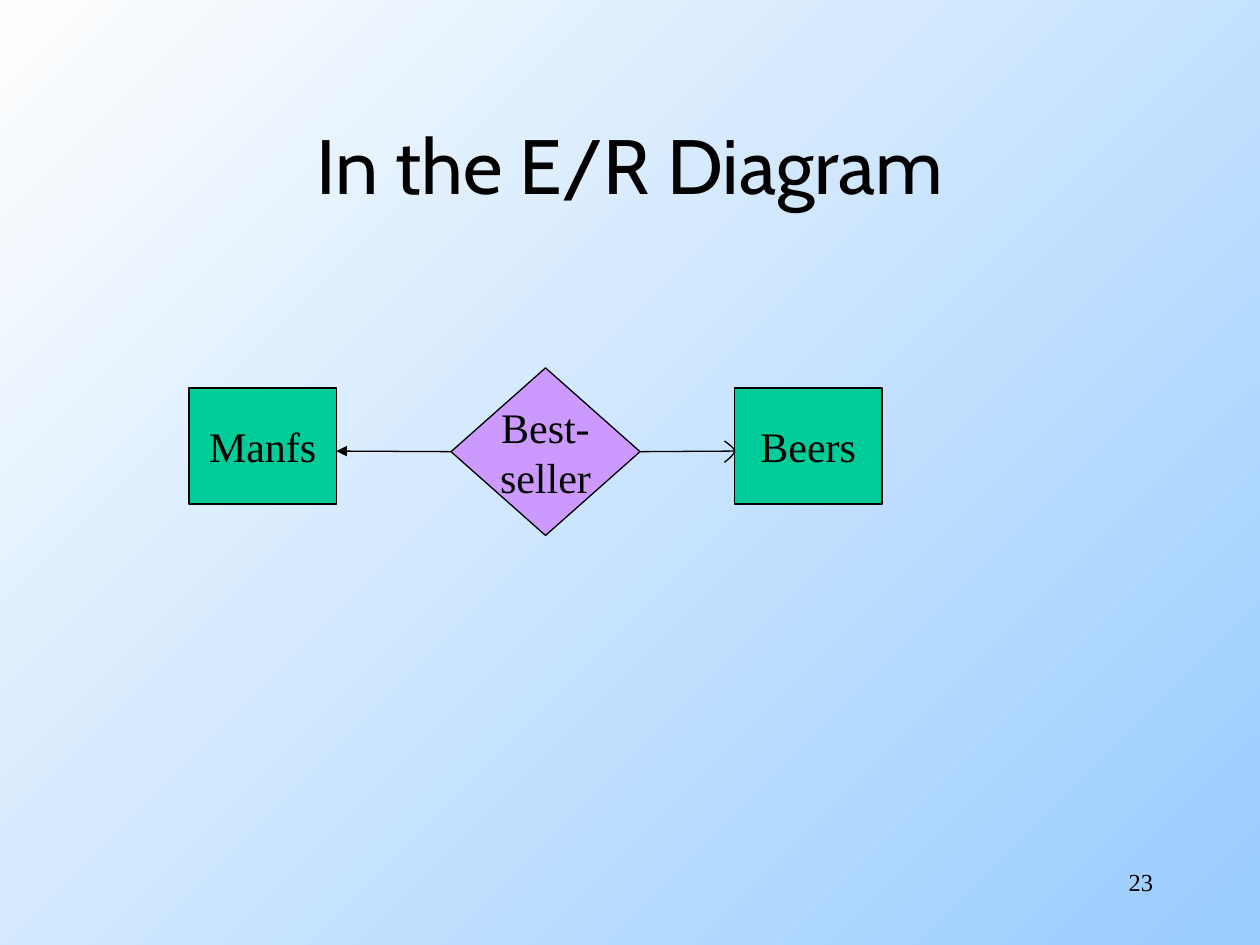
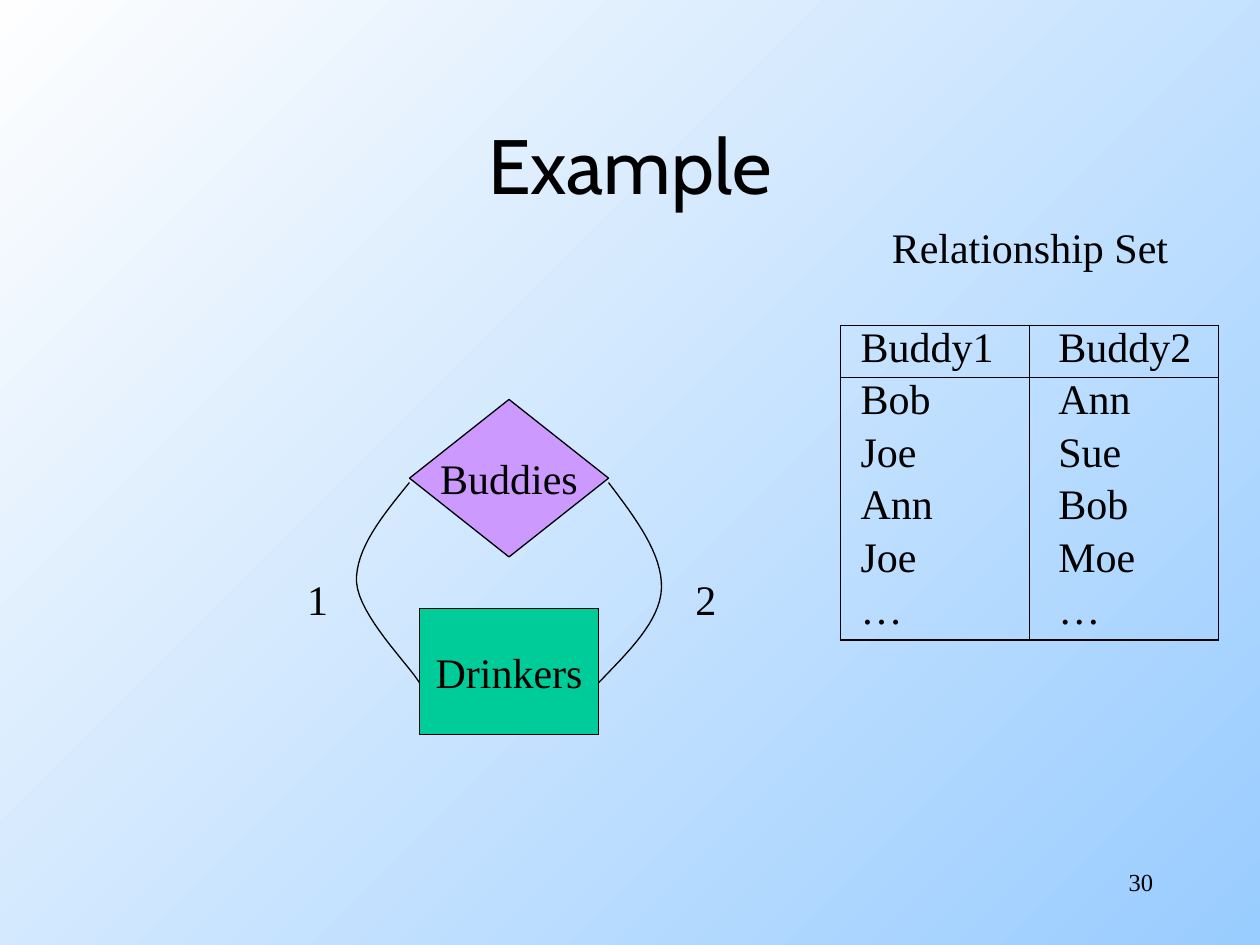
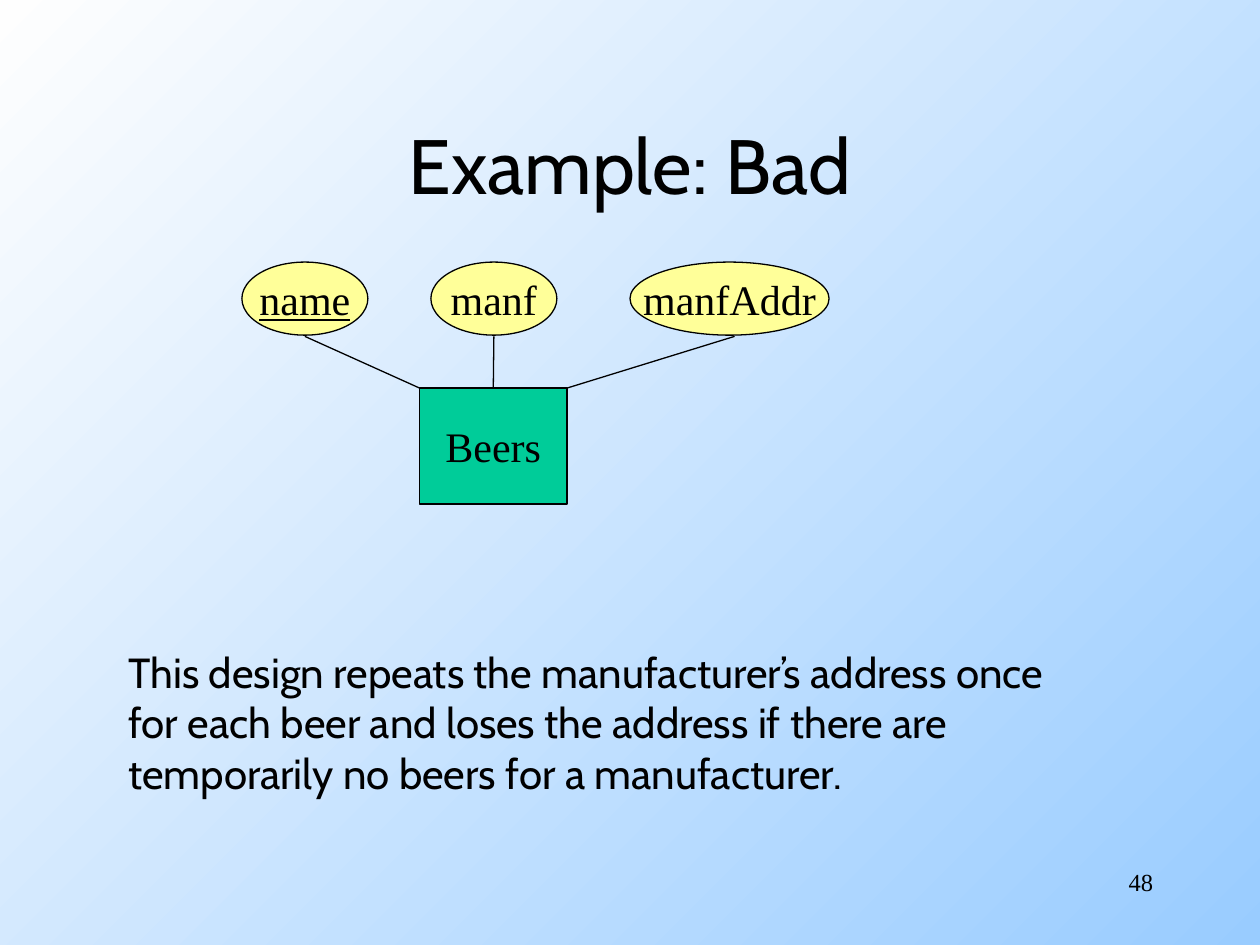
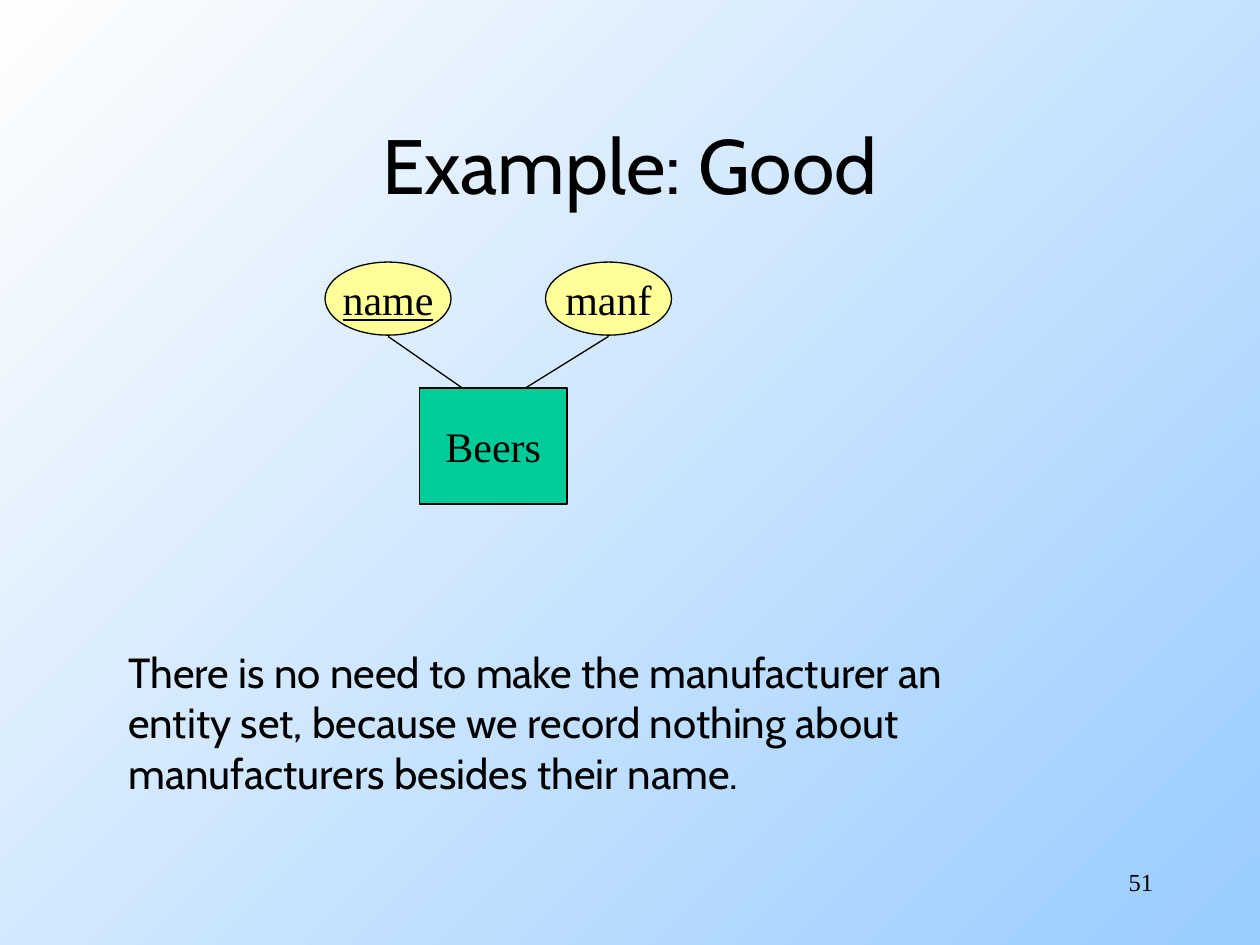
from pptx import Presentation
from pptx.dml.color import RGBColor
from pptx.enum import shapes, text
from pptx.oxml.ns import qn
from pptx.util import Inches, Pt
from lxml import etree

COLORS = {
    "ink": "000000",
    "entity": "00CC99",
    "relationship": "CC99FF",
    "attribute": "FFFF99",
    "sky": "99CCFF",
    "light": "FEFEFE",
}
SERIF, SANS = "Times New Roman", "Cabin"
LINE = Pt(0.75)
ENTITY_SIZE = (1.17, 0.92)
ATTRIBUTE_TOP, ATTRIBUTE_HEIGHT = 2.08, 0.58
ATTRIBUTE_FOOT, ENTITY_TOP = 2.67, 3.08
PLAIN_TABLE = "{2D5ABB26-0587-4C30-8999-92F81FD0307C}"
BUDDIES = [
    ("Buddy1", "Buddy2"),
    ("Bob", "Ann"),
    ("Joe", "Sue"),
    ("Ann", "Bob"),
    ("Joe", "Moe"),
    ("…", "…"),
]


def color(name):
    return RGBColor.from_string(COLORS[name])


def write(frame, words, size=24, font=SERIF, align=text.PP_ALIGN.LEFT, underline=None):
    frame.text = words
    for paragraph in frame.paragraphs:
        paragraph.alignment = align
        paragraph.font.size = Pt(size)
        paragraph.font.name = font
        paragraph.font.color.rgb = color("ink")
        paragraph.font.underline = underline


def draw_line(line):
    line.color.rgb = color("ink")
    line.width = LINE


def add_text(slide, box, words, anchor=text.MSO_ANCHOR.TOP, **style):
    frame = slide.shapes.add_textbox(*map(Inches, box)).text_frame
    frame.word_wrap = True
    frame.vertical_anchor = anchor
    write(frame, words, **style)


def add_node(slide, kind, box, words, fill, underline=None):
    node = slide.shapes.add_shape(kind, *map(Inches, box))
    node.shadow.inherit = False
    node.fill.solid()
    node.fill.fore_color.rgb = color(fill)
    draw_line(node.line)
    node.text_frame.word_wrap = False
    node.text_frame.vertical_anchor = text.MSO_ANCHOR.MIDDLE
    write(node.text_frame, words, align=text.PP_ALIGN.CENTER, underline=underline)
    return node


def add_entity(slide, left, top, words, size=ENTITY_SIZE):
    return add_node(slide, shapes.MSO_SHAPE.RECTANGLE, (left, top, *size), words, "entity")


def add_relationship(slide, box, words):
    return add_node(slide, shapes.MSO_SHAPE.DIAMOND, box, words, "relationship")


def add_attribute(slide, left, words, width=1, key=None):
    box = (left, ATTRIBUTE_TOP, width, ATTRIBUTE_HEIGHT)
    add_node(slide, shapes.MSO_SHAPE.OVAL, box, words, "attribute", key)


def add_link(slide, start, end, arrow=False):
    link = slide.shapes.add_connector(
        shapes.MSO_CONNECTOR.STRAIGHT, *map(Inches, (*start, *end)))
    draw_line(link.line)
    if arrow:
        etree.SubElement(link.line._get_or_add_ln(), qn("a:tailEnd"), type="triangle")
    etree.SubElement(link._element.spPr, qn("a:effectLst"))
    return link


def bezier(points, steps=16):
    for step in range(1, steps + 1):
        t = step / steps
        weights = ((1 - t) ** 3, 3 * t * (1 - t) ** 2, 3 * t * t * (1 - t), t ** 3)
        yield tuple(
            Inches(sum(w * p[axis] for w, p in zip(weights, points))) for axis in (0, 1))


def add_curve(slide, points):
    builder = slide.shapes.build_freeform(*map(Inches, points[0]))
    for first in range(0, len(points) - 1, 3):
        builder.add_line_segments(bezier(points[first:first + 4]), close=False)
    curve = builder.convert_to_shape()
    curve.shadow.inherit = False
    curve.fill.background()
    draw_line(curve.line)


def set_border(cell, side, visible):
    border = etree.SubElement(cell._tc.get_or_add_tcPr(), qn(f"a:{side}"), w=str(LINE))
    if visible:
        fill = etree.SubElement(border, qn("a:solidFill"))
        etree.SubElement(fill, qn("a:srgbClr"), val=COLORS["ink"])
    else:
        etree.SubElement(border, qn("a:noFill"))


def add_buddy_table(slide, box):
    table = slide.shapes.add_table(len(BUDDIES), 2, *map(Inches, box)).table
    table._tbl.tblPr.find(qn("a:tableStyleId")).text = PLAIN_TABLE
    table.horz_banding = False
    last = len(BUDDIES) - 1
    for r, names in enumerate(BUDDIES):
        for c, name in enumerate(names):
            cell = table.cell(r, c)
            cell.margin_left = Inches((0.16, 0.23)[c])
            cell.margin_right = cell.margin_top = cell.margin_bottom = 0
            write(cell.text_frame, name)
            for side, visible in (("lnL", True), ("lnR", True),
                                  ("lnT", r < 2), ("lnB", r in (0, last))):
                set_border(cell, side, visible)
            cell.fill.background()


def set_background(master):
    fill = master.background.fill
    fill.gradient()
    fill.gradient_angle = 135
    for stop, name in zip(fill.gradient_stops, ("sky", "light")):
        stop.color.rgb = color(name)


def add_slide(deck, title, number):
    slide = deck.slides.add_slide(deck.slide_layouts[6])
    add_text(slide, (0.75, 0.67, 8.5, 1.25), title, text.MSO_ANCHOR.MIDDLE,
             size=44, font=SANS, align=text.PP_ALIGN.CENTER)
    add_text(slide, (7.17, 6.83, 2.08, 0.5), str(number),
             size=14, align=text.PP_ALIGN.RIGHT)
    return slide


def add_remark(slide, words):
    add_text(slide, (0.92, 5.08, 7.52, 1.3), words, font=SANS)


def build_diagram(deck):
    slide = add_slide(deck, "In the E/R Diagram", 23)
    add_entity(slide, 1.5, ENTITY_TOP, "Manfs")
    add_entity(slide, 5.83, ENTITY_TOP, "Beers")
    bestseller = add_relationship(slide, (3.58, 2.92, 1.5, 1.33), "Best-\nseller")
    to_manfs = add_link(slide, (3.58, 3.58), (2.67, 3.58), arrow=True)
    to_manfs.begin_connect(bestseller, 1)
    to_beers = add_link(slide, (5.08, 3.58), (5.83, 3.58))
    to_beers.begin_connect(bestseller, 3)
    add_curve(slide, [(5.75, 3.5), (5.79, 3.53), (5.83, 3.56), (5.83, 3.58),
                      (5.83, 3.61), (5.76, 3.66), (5.75, 3.67)])


def build_roles(deck):
    slide = add_slide(deck, "Example", 30)
    add_entity(slide, 3.33, 4.83, "Drinkers", (1.42, 1))
    add_relationship(slide, (3.25, 3.17, 1.58, 1.25), "Buddies")
    for left, role in ((2.34, "1"), (5.42, "2")):
        add_text(slide, (left, 4.5, 0.4, 0.5), role)
    add_text(slide, (6.98, 1.71, 2.6, 0.5), "Relationship Set")
    add_buddy_table(slide, (6.67, 2.58, 3, 2.5))
    add_curve(slide, [(4.83, 3.83), (5.05, 4.12), (5.26, 4.4), (5.25, 4.67),
                      (5.24, 4.93), (4.99, 5.17), (4.75, 5.42)])
    add_curve(slide, [(3.25, 3.83), (3.03, 4.1), (2.82, 4.36), (2.83, 4.62),
                      (2.85, 4.89), (3.25, 5.28), (3.33, 5.42)])


def build_bad(deck):
    slide = add_slide(deck, "Example: Bad", 48)
    beers = add_entity(slide, 3.33, ENTITY_TOP, "Beers")
    add_attribute(slide, 1.92, "name", key=True)
    add_attribute(slide, 3.42, "manf")
    add_attribute(slide, 5, "manfAddr", 1.58)
    add_link(slide, (2.42, ATTRIBUTE_FOOT), (3.33, ENTITY_TOP))
    add_link(slide, (3.92, ATTRIBUTE_FOOT), (3.92, ENTITY_TOP)).end_connect(beers, 0)
    add_link(slide, (5.83, ATTRIBUTE_FOOT), (4.5, ENTITY_TOP))
    add_remark(slide, "This design repeats the manufacturer’s address once for each beer "
                      "and loses the address if there are temporarily no beers for a "
                      "manufacturer.")


def build_good(deck):
    slide = add_slide(deck, "Example: Good", 51)
    add_entity(slide, 3.33, ENTITY_TOP, "Beers")
    add_attribute(slide, 2.58, "name", key=True)
    add_attribute(slide, 4.33, "manf")
    for start, end in ((3.08, 3.67), (4.83, 4.17)):
        add_link(slide, (start, ATTRIBUTE_FOOT), (end, ENTITY_TOP))
    add_remark(slide, "There is no need to make the manufacturer an entity set, because "
                      "we record nothing about manufacturers besides their name.")


def main():
    deck = Presentation()
    deck.slide_width, deck.slide_height = Inches(10), Inches(7.5)
    set_background(deck.slide_master)
    for build in (build_diagram, build_roles, build_bad, build_good):
        build(deck)
    deck.save("out.pptx")


if __name__ == "__main__":
    main()
